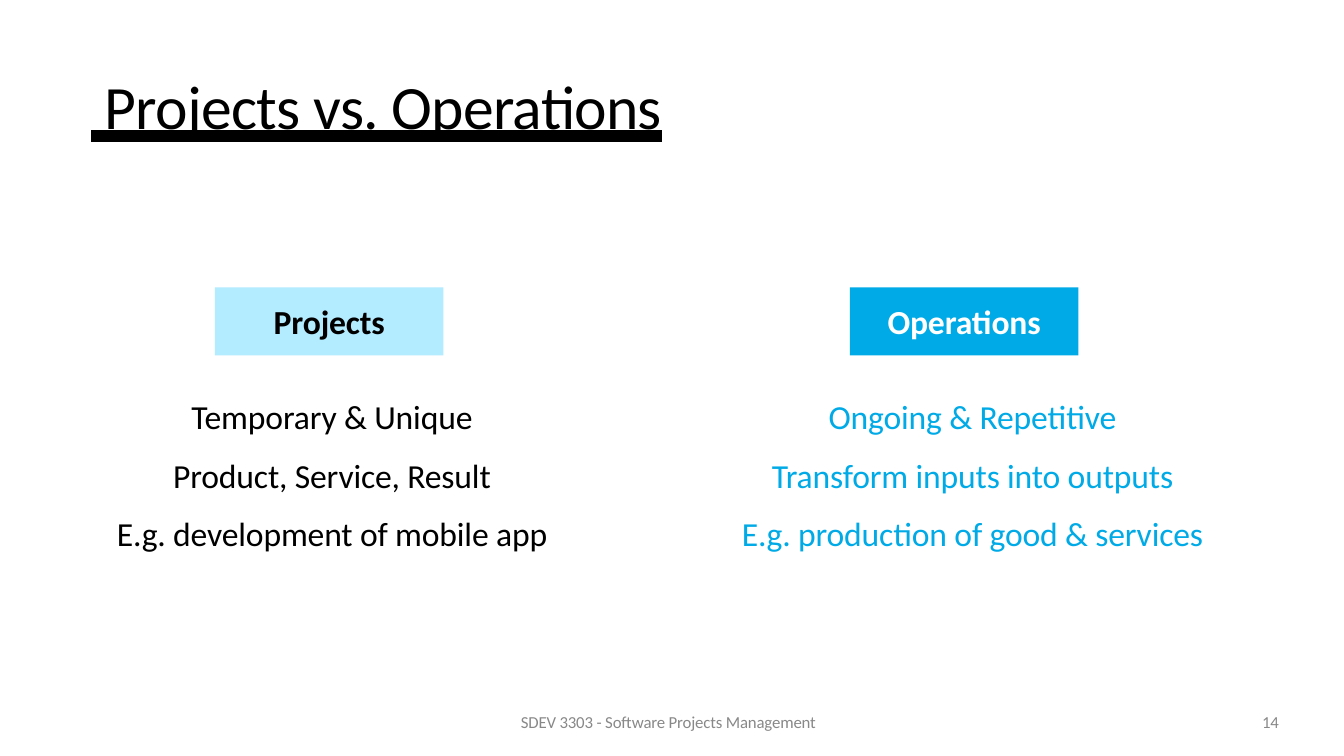
"""Build the slide that sets projects against operations."""
from dataclasses import dataclass

from pptx import Presentation
from pptx.dml.color import RGBColor as RGB
from pptx.enum.shapes import MSO_SHAPE as Preset
from pptx.enum.text import (MSO_ANCHOR as Anchor, MSO_AUTO_SIZE as AutoSize,
                            MSO_UNDERLINE as Underline, PP_ALIGN as Align)
from pptx.util import Inches, Pt


@dataclass(frozen=True)
class Theme:
    font: str = "Calibri"
    black: RGB = RGB(0, 0, 0)
    white: RGB = RGB(255, 255, 255)
    grey: RGB = RGB(0x88, 0x88, 0x88)
    pale: RGB = RGB(0xB3, 0xEB, 0xFF)
    blue: RGB = RGB(0x00, 0xAA, 0xE6)
    title: Pt = Pt(44)
    body: Pt = Pt(24)
    footer: Pt = Pt(12)


theme = Theme()
deck = Presentation()
deck.slide_width, deck.slide_height = Inches(13.33), Inches(7.5)


def area(left, top, width, height):
    """Turn percentages of the slide into lengths."""
    across, down = deck.slide_width / 100, deck.slide_height / 100
    return (int(left * across), int(top * down),
            int(width * across), int(height * down))


def write(holder, lines, size, color, align=Align.LEFT, bold=False,
          anchor=Anchor.TOP, tracking=-10, gap=0):
    """Fill a shape with evenly formatted paragraphs and no margins."""
    frame = holder.text_frame
    frame.margin_left = frame.margin_right = 0
    frame.margin_top = frame.margin_bottom = 0
    frame.word_wrap, frame.auto_size = True, AutoSize.NONE
    frame.vertical_anchor = anchor
    frame.text = "\n".join(lines)
    for index, paragraph in enumerate(frame.paragraphs):
        paragraph.alignment = align
        paragraph.space_before = Pt(gap if index else 0)
        font = paragraph.font
        font.name, font.size, font.bold = theme.font, size, bold
        font.color.rgb = color
        font._element.set("spc", str(tracking))
    return frame


slide = deck.slides.add_slide(deck.slide_layouts[5])
heading = slide.shapes.title
heading.left, heading.top, heading.width, heading.height = area(6.8, 9, 86.5, 10)
heading_frame = write(heading, [" Projects vs. Operations"],
                      theme.title, theme.black, tracking=-50)
heading_frame.paragraphs[0].font.underline = Underline.HEAVY_LINE

columns = [
    ("Projects", 16, theme.pale, theme.black, 8.4, 32.6, theme.black,
     ["Temporary & Unique", "Product, Service, Result",
      "E.g. development of mobile app"]),
    ("Operations", 63.24, theme.blue, theme.white, 54.9, 34.9, theme.blue,
     ["Ongoing & Repetitive", "Transform inputs into outputs",
      "E.g. production of good & services"]),
]
for name, label_left, fill, ink, left, width, color, traits in columns:
    label = slide.shapes.add_shape(Preset.RECTANGLE,
                                   *area(label_left, 38, 17, 9))
    label.shadow.inherit = False
    label.fill.solid()
    label.fill.fore_color.rgb = fill
    label.line.fill.background()
    write(label, [name], theme.body, ink, Align.CENTER, True, Anchor.MIDDLE)
    details = slide.shapes.add_textbox(*area(left, 52.4, width, 21.2))
    write(details, traits, theme.body, color, Align.CENTER, gap=13)

for text, left, width in [("SDEV 3303 - Software Projects Management", 38.75, 23),
                          ("14", 93.9, 1.9)]:
    footer = slide.shapes.add_textbox(*area(left, 94.2, width, 2.5))
    write(footer, [text], theme.footer, theme.grey, anchor=Anchor.MIDDLE)

deck.save("out.pptx")
